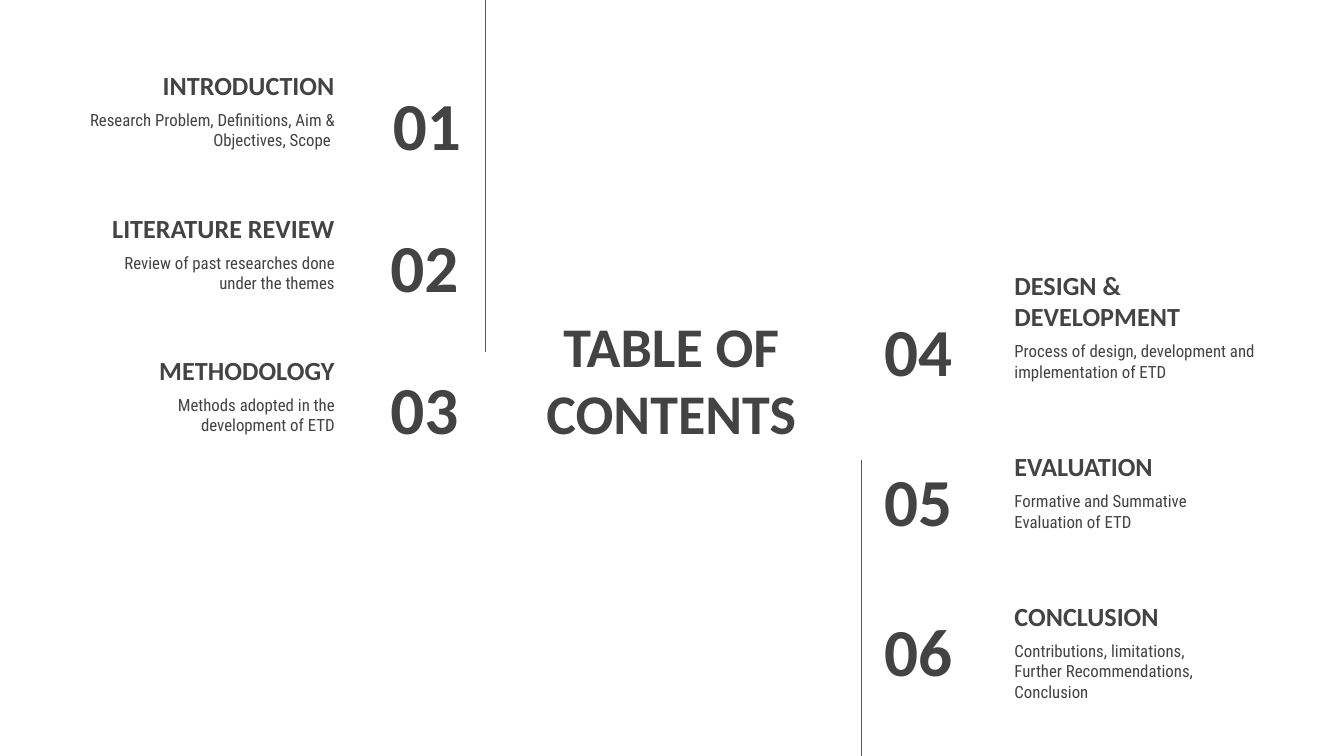
from dataclasses import dataclass

from lxml import etree
from pptx import Presentation
from pptx.dml.color import RGBColor
from pptx.enum import shapes, text
from pptx.oxml import ns
from pptx.util import Pt

DARK = RGBColor(0x43, 0x43, 0x43)
RULE = RGBColor(0x59, 0x59, 0x59)
HEAD_FONT = "Calibri"
BODY_FONT = "Roboto Condensed"
LEFT, CENTER, RIGHT = text.PP_ALIGN.LEFT, text.PP_ALIGN.CENTER, text.PP_ALIGN.RIGHT
TOP, MIDDLE, BOTTOM = text.MSO_ANCHOR.TOP, text.MSO_ANCHOR.MIDDLE, text.MSO_ANCHOR.BOTTOM
BOX_H = 45.36
BODY_DROP = 35.8
WIDE, NARROW = 155.5, 131.8


@dataclass(frozen=True)
class Section:
    number: str
    heading: str
    body: str
    heading_w: float = WIDE
    body_w: float = NARROW
    number_shift: float = 0


@dataclass(frozen=True)
class Column:
    align: text.PP_ALIGN
    text_edge: float
    number_edge: float
    number_w: float
    top: float
    step: float
    number_drop: float
    sections: tuple[Section, ...]


COLUMNS = (
    Column(RIGHT, 186.4, 252.7, 87.1, 15.9, 76.3, 27.4, (
        Section("01", "INTRODUCTION",
                "Research Problem, Definitions, Aim & Objectives, Scope ",
                body_w=WIDE, number_shift=1.4),
        Section("02", "LITERATURE REVIEW",
                "Review of past researches done under the themes", heading_w=165),
        Section("03", "METHODOLOGY", "Methods adopted in the development of ETD"),
    )),
    Column(LEFT, 536.4, 466.6, 84.2, 139.8, 80.3, 24.9, (
        Section("04", "DESIGN & DEVELOPMENT",
                "Process of design, development and implementation of ETD", body_w=WIDE),
        Section("05", "EVALUATION", "Formative and Summative Evaluation of ETD"),
        Section("06", "CONCLUSION",
                "Contributions, limitations, Further Recommendations, Conclusion"),
    )),
)


def write(sp, content: str, *, size: float, font: str = HEAD_FONT, bold: bool = True,
          align=LEFT, anchor=MIDDLE) -> None:
    tf = sp.text_frame
    tf.word_wrap = True
    tf.auto_size = text.MSO_AUTO_SIZE.NONE
    tf.vertical_anchor = anchor
    tf.margin_left = tf.margin_top = tf.margin_right = tf.margin_bottom = Pt(7.2)
    p = tf.paragraphs[0]
    p.alignment = align
    r = p.add_run()
    r.text = content
    r.font.name = font
    r.font.size = Pt(size)
    r.font.bold = bold
    r.font.color.rgb = DARK


def add_box(s, edge: float, top: float, width: float, content: str, *, align, **style) -> None:
    left = edge - width if align == RIGHT else edge
    sp = s.shapes.add_textbox(Pt(left), Pt(top), Pt(width), Pt(BOX_H))
    write(sp, content, align=align, **style)


def add_column(s, col: Column) -> None:
    for i, sec in enumerate(col.sections):
        top = col.top + i * col.step
        add_box(s, col.text_edge, top, sec.heading_w, sec.heading,
                align=col.align, size=14, anchor=BOTTOM)
        add_box(s, col.text_edge, top + BODY_DROP, sec.body_w, sec.body,
                align=col.align, size=9, font=BODY_FONT, bold=False, anchor=TOP)
        add_box(s, col.number_edge + sec.number_shift, top + col.number_drop, col.number_w,
                sec.number, align=col.align, size=36)


def add_rule(s, x: float, top: float, bottom: float) -> None:
    line = s.shapes.add_connector(shapes.MSO_CONNECTOR.STRAIGHT,
                                  Pt(x), Pt(top), Pt(x), Pt(bottom))
    line.line.color.rgb = RULE
    line.line.width = Pt(0.75)
    etree.SubElement(line._element.spPr, ns.qn("a:effectLst"))


def main() -> None:
    prs = Presentation()
    prs.slide_width, prs.slide_height = Pt(720), Pt(405)
    s = prs.slides.add_slide(prs.slide_layouts[5])
    title = s.shapes.title
    title.left, title.top, title.width, title.height = Pt(266.4), Pt(165.6), Pt(186.5), Pt(74.2)
    write(title, "TABLE OF CONTENTS", size=30, align=CENTER)
    for col in COLUMNS:
        add_column(s, col)
    add_rule(s, 260, 0, 188.6)
    add_rule(s, 461.5, 246.2, 405)
    prs.save("out.pptx")


if __name__ == "__main__":
    main()
